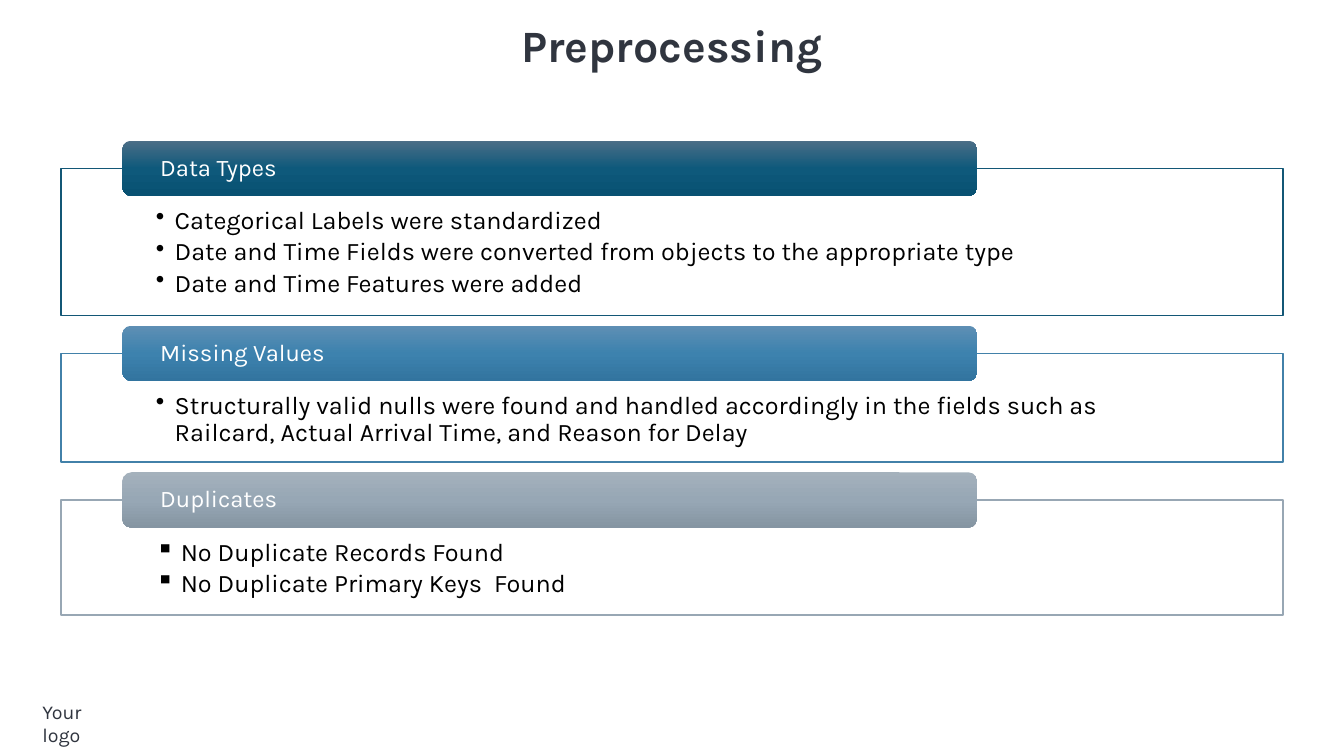
"""Build the Preprocessing slide: three framed sections, each with a gradient tab."""
from copy import deepcopy

from lxml import etree
from pptx import Presentation
from pptx import util as u
from pptx.dml.color import RGBColor
from pptx.enum import shapes, text
from pptx.oxml.ns import qn

COLORS = {"ink": "30353F", "black": "000000", "white": "FFFFFF"}
SECTIONS = [
    {"title": "Data Types", "rows": 19.47, "line": "135776",
     "gradient": ["4C6E87", "0E597B", "085172"], "bullet": "•", "indent": 1.4,
     "items": ["Categorical Labels were standardized",
               "Date and Time Fields were converted from objects to the appropriate type",
               "Date and Time Features were added"]},
    {"title": "Missing Values", "rows": 14.4, "line": "4281A9",
     "gradient": ["5E8FB4", "3D82AE", "32749F"], "bullet": "•", "indent": 1.4,
     "items": ["Structurally valid nulls were found and handled accordingly in the fields "
               "such as Railcard, Actual Arrival Time, and Reason for Delay"]},
    {"title": "Duplicates", "rows": 15.2, "line": "98A7B4",
     "gradient": ["A4B1BC", "97A7B5", "8595A2"], "bullet": "▪", "indent": 1.85,
     "items": ["No Duplicate Records Found", "No Duplicate Primary Keys  Found"]},
]

presentation = Presentation()
presentation.slide_width = u.Inches(13.33)
presentation.slide_height = u.Inches(7.5)
slide = presentation.slides.add_slide(presentation.slide_layouts[6])
COLUMN = presentation.slide_width / 100
ROW = presentation.slide_height / 100


def place(column, row, columns, rows):
    """Turn grid cells into left, top, width and height."""
    return [round(n) for n in (column * COLUMN, row * ROW, columns * COLUMN, rows * ROW)]


def write(shape, lines, size, color, bold=False, align=text.PP_ALIGN.LEFT,
          anchor=text.MSO_ANCHOR.TOP, inset=(0, 0), bottom=0, wrap=True,
          spacing=1.0, after=0, bullet=None, indent=0):
    """Fill a shape with one paragraph per line."""
    frame = shape.text_frame
    frame.word_wrap = wrap
    frame.vertical_anchor = anchor
    frame.margin_left = frame.margin_right = round(inset[0] * COLUMN)
    frame.margin_top = round(inset[1] * ROW)
    frame.margin_bottom = round(bottom * ROW)
    for index, line in enumerate(lines):
        paragraph = frame.add_paragraph() if index else frame.paragraphs[0]
        paragraph.alignment = align
        paragraph.line_spacing = spacing
        paragraph.space_after = u.Pt(after)
        if bullet:
            properties = paragraph._p.get_or_add_pPr()
            properties.set("marL", str(round(indent * COLUMN)))
            properties.set("indent", str(-round(indent * COLUMN)))
            etree.SubElement(properties, qn("a:buChar")).set("char", bullet)
        run = paragraph.add_run()
        run.text = line
        run.font.name = "Karla"
        run.font.size = u.Pt(size)
        run.font.bold = bold
        run.font.color.rgb = RGBColor.from_string(COLORS[color])


logo = slide.shapes.add_textbox(*place(3.15, 92.53, 5.7, 6.4))
write(logo, ["Your logo"], 14, "ink")

title = slide.shapes.add_textbox(*place(38.55, 2.4, 22.9, 7.2))
write(title, ["Preprocessing"], 32, "ink", bold=True, align=text.PP_ALIGN.CENTER, wrap=False)

MARGIN = 4.55
FRAME_COLUMNS = 100 - 2 * MARGIN
TAB_ROWS = 7.33
GAP = 5
top = 22.27
for section in SECTIONS:
    frame_shape = slide.shapes.add_shape(
        shapes.MSO_SHAPE.RECTANGLE, *place(MARGIN, top, FRAME_COLUMNS, section["rows"]))
    frame_shape.shadow.inherit = False
    frame_shape.fill.solid()
    frame_shape.fill.fore_color.rgb = RGBColor.from_string(COLORS["white"])
    frame_shape.line.color.rgb = RGBColor.from_string(section["line"])
    frame_shape.line.width = u.Pt(1)
    write(frame_shape, section["items"], 18, "black", inset=(7.05, 5.2), bottom=1.87,
          spacing=0.9, after=3, bullet=section["bullet"], indent=section["indent"])

    tab = slide.shapes.add_shape(
        shapes.MSO_SHAPE.ROUNDED_RECTANGLE,
        *place(2 * MARGIN, top - TAB_ROWS / 2, 0.7 * FRAME_COLUMNS, TAB_ROWS))
    tab.shadow.inherit = False
    tab.line.fill.background()
    tab.fill.gradient()
    tab.fill.gradient_angle = 270
    stop_list = next(tab._element.iter(qn("a:gsLst")))
    stop_list.append(deepcopy(stop_list[0]))
    for index, (stop, color) in enumerate(zip(tab.fill.gradient_stops, section["gradient"])):
        stop.position = index / 2
        stop.color.rgb = RGBColor.from_string(color)
    write(tab, [section["title"]], 17, "white", anchor=text.MSO_ANCHOR.MIDDLE,
          inset=(2.62, 0), spacing=0.9)
    top += section["rows"] + GAP

presentation.save("out.pptx")
